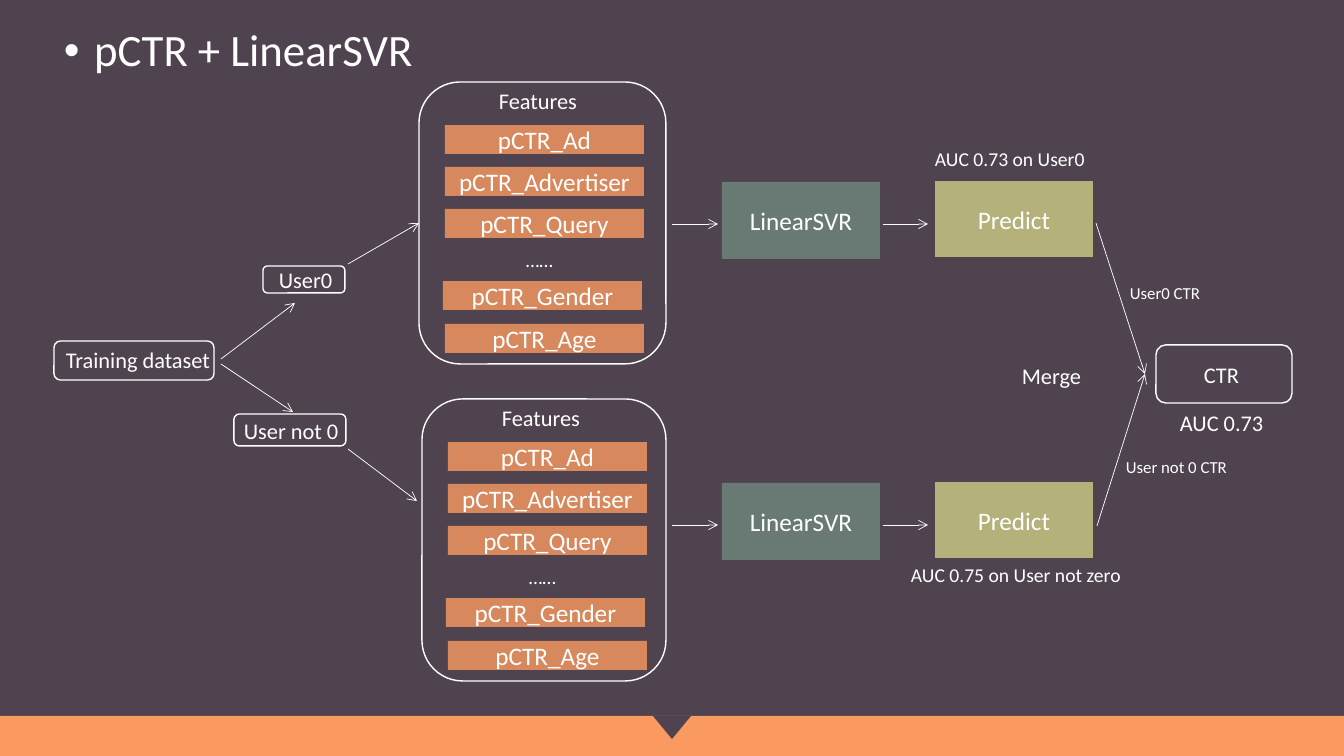
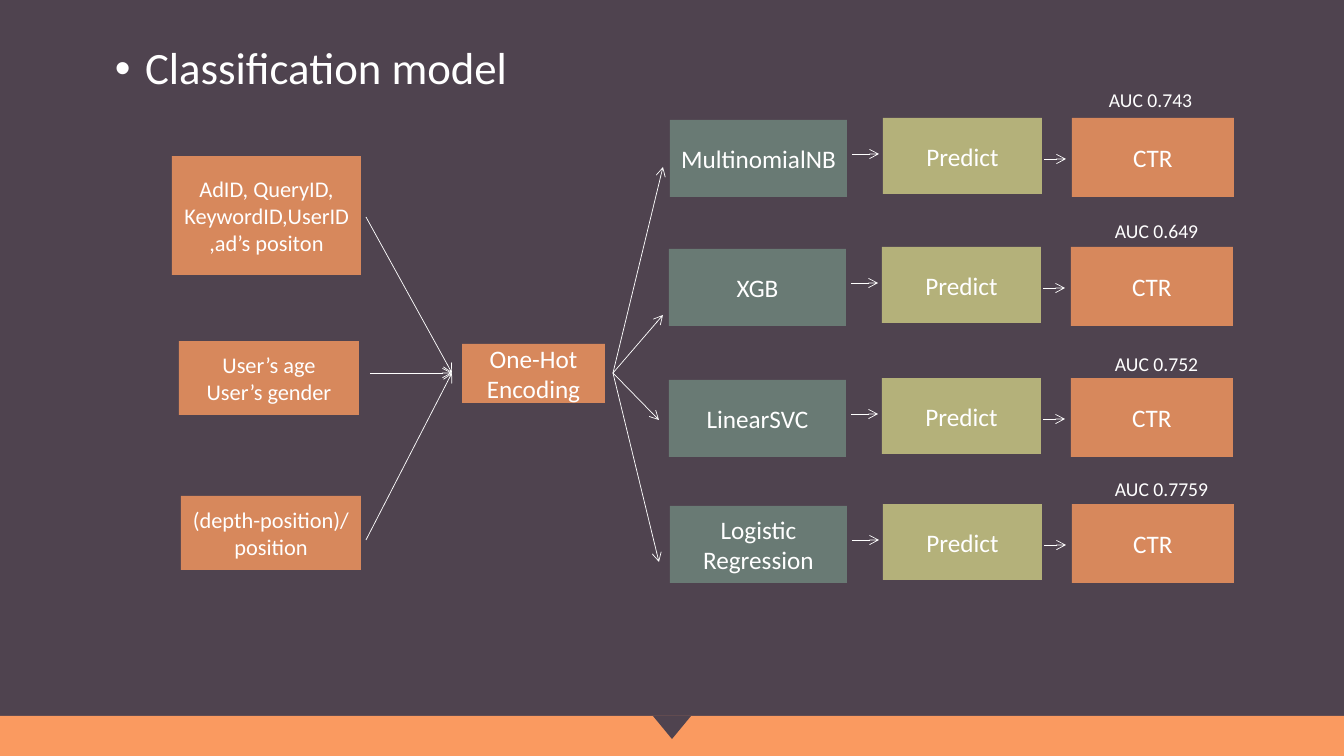
"""Build two slides on click-through-rate prediction pipelines."""
from dataclasses import dataclass
from typing import Optional

import lxml.etree
import pptx
import pptx.dml.color
import pptx.enum.shapes
import pptx.enum.text
import pptx.oxml.ns
import pptx.shapes.autoshape
import pptx.slide
import pptx.util

RGBColor = pptx.dml.color.RGBColor
PLUM = RGBColor(0x4F, 0x43, 0x4F)
ORANGE = RGBColor(0xFA, 0x9A, 0x60)
SLATE = RGBColor(0x69, 0x7A, 0x74)
OLIVE = RGBColor(0xB4, 0xB1, 0x7A)
WHITE = RGBColor(0xFF, 0xFF, 0xFF)
FONT = "Calibri"
EMU_PER_PIXEL = 914400 / 100.8
SLIDE_WIDTH, SLIDE_HEIGHT = 1344, 756
BAND_TOP = 716
RECT = pptx.enum.shapes.MSO_SHAPE.RECTANGLE
ROUNDED = pptx.enum.shapes.MSO_SHAPE.ROUNDED_RECTANGLE
TRIANGLE = pptx.enum.shapes.MSO_SHAPE.ISOSCELES_TRIANGLE


@dataclass(frozen=True)
class Box:
    """A filled block with centred text."""
    left: int
    top: int
    width: int
    height: int
    text: str = ""
    fill: Optional[RGBColor] = None
    opacity: int = 100
    size: int = 18


@dataclass(frozen=True)
class Label:
    """A free-standing line of text."""
    left: int
    top: int
    width: int
    height: int
    text: str
    size: int = 16
    tight: bool = False


@dataclass(frozen=True)
class Arrow:
    """A thin line with an open head at its end."""
    x1: int
    y1: int
    x2: int
    y2: int


@dataclass(frozen=True)
class ModelRow:
    """One classifier with its score."""
    model: str
    left: int
    top: int
    auc: str
    auc_left: int
    auc_top: int


def emu(pixels: int) -> pptx.util.Emu:
    """Convert pixels to EMU."""
    return pptx.util.Emu(round(pixels * EMU_PER_PIXEL))


def add_xml(parent: lxml.etree.ElementBase, tag: str, **attributes: str) -> None:
    """Append a DrawingML element."""
    element = lxml.etree.SubElement(parent, pptx.oxml.ns.qn(tag))
    for name, value in attributes.items():
        element.set(name, value)


def format_text(frame: pptx.text.text.TextFrame, size: int) -> None:
    """Apply the shared font to every run."""
    for paragraph in frame.paragraphs:
        for run in paragraph.runs:
            run.font.name = FONT
            run.font.size = pptx.util.Pt(size)
            run.font.color.rgb = WHITE


def draw_box(slide: pptx.slide.Slide, box: Box, kind: int = RECT) -> pptx.shapes.autoshape.Shape:
    """Draw a filled block, or a white outline if it has no fill."""
    shape = slide.shapes.add_shape(
        kind, emu(box.left), emu(box.top), emu(box.width), emu(box.height))
    shape.shadow.inherit = False
    if box.fill is None:
        shape.fill.background()
        shape.line.color.rgb = WHITE
        shape.line.width = pptx.util.Pt(1)
    else:
        shape.fill.solid()
        shape.fill.fore_color.rgb = box.fill
        shape.line.fill.background()
    if box.opacity < 100:
        colour = shape._element.spPr.find(".//" + pptx.oxml.ns.qn("a:srgbClr"))
        add_xml(colour, "a:alpha", val=str(box.opacity * 1000))
    if box.text:
        frame = shape.text_frame
        frame.text = box.text
        frame.word_wrap = True
        frame.vertical_anchor = pptx.enum.text.MSO_ANCHOR.MIDDLE
        for paragraph in frame.paragraphs:
            paragraph.alignment = pptx.enum.text.PP_ALIGN.CENTER
        format_text(frame, box.size)
    return shape


def draw_label(slide: pptx.slide.Slide, label: Label) -> pptx.text.text.TextFrame:
    """Draw a label and return its text frame."""
    frame = slide.shapes.add_textbox(
        emu(label.left), emu(label.top), emu(label.width), emu(label.height)).text_frame
    frame.text = label.text
    frame.word_wrap = True
    frame.auto_size = pptx.enum.text.MSO_AUTO_SIZE.SHAPE_TO_FIT_TEXT
    if label.tight:
        frame.paragraphs[0].line_spacing = 0.9
        frame.paragraphs[0].space_before = pptx.util.Pt(10)
    format_text(frame, label.size)
    return frame


def draw_arrow(slide: pptx.slide.Slide, arrow: Arrow) -> None:
    """Draw an arrow."""
    connector = slide.shapes.add_connector(
        pptx.enum.shapes.MSO_CONNECTOR.STRAIGHT,
        emu(arrow.x1), emu(arrow.y1), emu(arrow.x2), emu(arrow.y2))
    connector.line.color.rgb = WHITE
    connector.line.width = pptx.util.Pt(0.5)
    add_xml(connector.line._get_or_add_ln(), "a:tailEnd", type="arrow")
    add_xml(connector._element.spPr, "a:effectLst")


def start_slide(deck: pptx.presentation.Presentation, title: Label) -> pptx.slide.Slide:
    """Add a slide with the footer band, its notch and a bulleted title."""
    slide = deck.slides.add_slide(deck.slide_layouts[6])
    draw_box(slide, Box(0, BAND_TOP, SLIDE_WIDTH, SLIDE_HEIGHT - BAND_TOP, fill=ORANGE))
    notch = draw_box(slide, Box(653, BAND_TOP, 38, 23, fill=PLUM), TRIANGLE)
    notch.rotation = 180
    properties = draw_label(slide, title).paragraphs[0]._p.get_or_add_pPr()
    indent = emu(20)
    properties.set("marL", str(indent))
    properties.set("indent", str(-indent))
    add_xml(properties, "a:buFont", typeface="Arial")
    add_xml(properties, "a:buChar", char="•")
    return slide


def draw_features(slide: pptx.slide.Slide, dx: int, dy: int) -> None:
    """Draw the panel of pCTR features, shifted from the upper panel."""
    bars = (("Ad", 445, 125), ("Advertiser", 445, 167), ("Query", 445, 209),
            ("Gender", 443, 281), ("Age", 445, 324))
    for feature, left, top in bars:
        draw_box(slide, Box(left + dx, top + dy, 199, 29, f"pCTR_{feature}", ORANGE, 80))
    draw_label(slide, Label(516 + dx, 243 + dy, 51, 34, "……", 14))
    draw_box(slide, Box(419 + dx, 82 + dy, 247 - dx, 282), ROUNDED)
    draw_label(slide, Label(489 + dx, 82 + dy, 101, 37, "Features"))


def draw_regression(slide: pptx.slide.Slide, dy: int) -> None:
    """Draw the LinearSVR and prediction steps of one branch."""
    draw_box(slide, Box(722, 182 + dy, 158, 77, "LinearSVR", SLATE))
    draw_box(slide, Box(935, 181 + dy, 158, 76, "Predict", OLIVE))
    for start, end in ((672, 718), (883, 928)):
        draw_arrow(slide, Arrow(start, 224 + dy, end, 224 + dy))


def build_regression_slide(deck: pptx.presentation.Presentation) -> None:
    """Build the two-branch regression slide."""
    slide = start_slide(deck, Label(54, 23, 590, 59, " pCTR + LinearSVR", 32, True))
    draw_features(slide, 0, 0)
    draw_features(slide, 3, 317)
    for dy in (0, 301):
        draw_regression(slide, dy)
    for outline in (Box(54, 341, 160, 39), Box(263, 266, 82, 27),
                    Box(234, 414, 112, 32), Box(1156, 345, 136, 58)):
        draw_box(slide, outline, ROUNDED)
    for label in (
        Label(56, 341, 167, 37, "Training dataset"),
        Label(269, 261, 82, 37, "User0"),
        Label(234, 412, 118, 37, "User not 0"),
        Label(1012, 357, 82, 37, "Merge"),
        Label(1194, 356, 59, 37, "CTR"),
        Label(1120, 278, 98, 30, "User0 CTR", 12),
        Label(1116, 452, 136, 30, "User not 0 CTR", 12),
        Label(925, 145, 214, 31, "AUC 0.73 on User0", 14, True),
        Label(901, 561, 254, 31, "AUC 0.75 on User not zero", 14, True),
        Label(1170, 407, 121, 34, "AUC 0.73", 16, True),
    ):
        draw_label(slide, label)
    for arrow in (
        Arrow(221, 359, 295, 303), Arrow(221, 364, 293, 412),
        Arrow(348, 264, 419, 223), Arrow(348, 449, 417, 501),
        Arrow(1096, 223, 1145, 374), Arrow(1097, 526, 1145, 374),
    ):
        draw_arrow(slide, arrow)


def draw_model_row(slide: pptx.slide.Slide, row: ModelRow) -> None:
    """Draw a classifier, its prediction and its score."""
    left, top = row.left, row.top
    draw_box(slide, Box(left, top + 2, 177, 77, row.model, SLATE))
    draw_box(slide, Box(left + 213, top, 159, 76, "Predict", OLIVE))
    draw_box(slide, Box(left + 402, top, 162, 79, "CTR", ORANGE, 80))
    draw_arrow(slide, Arrow(left + 182, top + 36, left + 209, top + 36))
    draw_arrow(slide, Arrow(left + 374, top + 41, left + 396, top + 41))
    draw_label(slide, Label(row.auc_left, row.auc_top, 128, 31, f"AUC {row.auc}", 14, True))


def build_classification_slide(deck: pptx.presentation.Presentation) -> None:
    """Build the slide comparing four classifiers."""
    slide = start_slide(deck, Label(105, 41, 940, 59, " Classification model", 32, True))
    for box in (
        Box(172, 156, 189, 119, "AdID, QueryID, KeywordID,UserID,ad’s positon", ORANGE, 80, 16),
        Box(179, 341, 180, 74, "User’s age\nUser’s gender", ORANGE, 80, 16),
        Box(181, 496, 180, 74, "(depth-position)/\nposition", ORANGE, 80, 16),
        Box(462, 344, 143, 59, "One-Hot Encoding", ORANGE, 80),
    ):
        draw_box(slide, box)
    for row in (
        ModelRow("MultinomialNB", 670, 118, "0.743", 1099, 86),
        ModelRow("XGB", 669, 247, "0.649", 1105, 217),
        ModelRow("LinearSVC", 669, 378, "0.752", 1105, 350),
        ModelRow("Logistic Regression", 670, 504, "0.7759", 1105, 475),
    ):
        draw_model_row(slide, row)
    encoding_middle = 373
    for x, y in ((366, 217), (370, encoding_middle), (366, 540)):
        draw_arrow(slide, Arrow(x, y, 452, encoding_middle))
    for x, y in ((663, 167), (663, 315), (659, 420), (659, 562)):
        draw_arrow(slide, Arrow(613, encoding_middle, x, y))


def main() -> None:
    """Build and save the deck."""
    deck = pptx.Presentation()
    deck.slide_width = emu(SLIDE_WIDTH)
    deck.slide_height = emu(SLIDE_HEIGHT)
    background = deck.slide_master.background.fill
    background.solid()
    background.fore_color.rgb = PLUM
    build_regression_slide(deck)
    build_classification_slide(deck)
    deck.save("out.pptx")


main()
